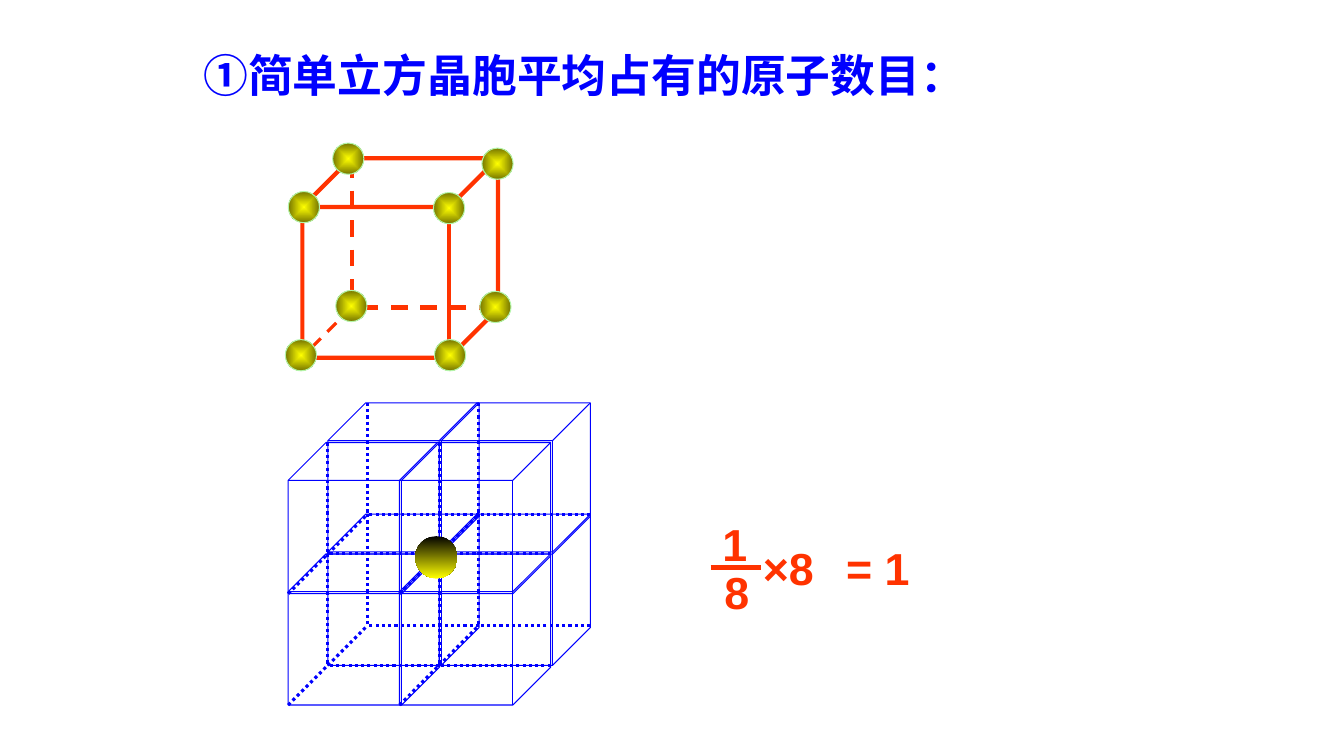
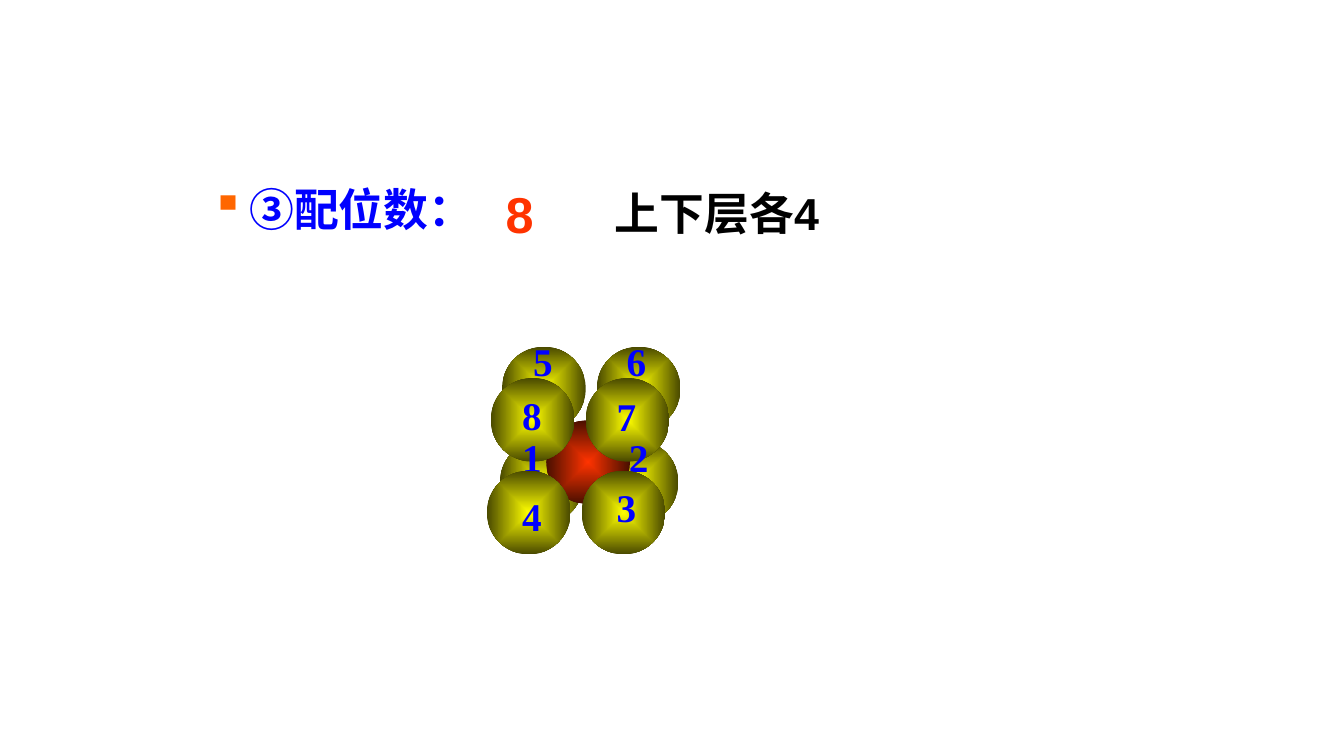
"""Builds two slides on the simple cubic cell: atoms per cell and coordination number."""
from itertools import product

from lxml import etree
from pptx import Presentation
from pptx.dml.color import RGBColor
from pptx.enum import dml, shapes, text
from pptx.oxml import ns
from pptx.util import Pt

BLUE = RGBColor(0x00, 0x00, 0xFF)
RED = RGBColor(0xFF, 0x33, 0x00)
ORANGE = RGBColor(0xFF, 0x66, 0x00)
YELLOW = RGBColor(0xFF, 0xFF, 0x00)
OLIVE = RGBColor(0x76, 0x76, 0x00)
DARK_OLIVE = RGBColor(0x49, 0x49, 0x00)
DARK_RED = RGBColor(0x49, 0x0F, 0x00)
PALE_GREEN = RGBColor(0xB4, 0xF5, 0xA9)
BLACK = RGBColor(0x00, 0x00, 0x00)

HANGING = 27
DASH = dml.MSO_LINE.DASH
DOT = dml.MSO_LINE.ROUND_DOT

COUNT_TITLE = ("①简单立方晶胞平均占有的原子数目：", 138.2, 30.2, 672.5, 62)
FORMULA = [
    ("8", 505.4, 399.6, 41.8, True),
    ("1", 504, 365.8, 41.8, True),
    ("×8", 537.8, 383, 72, False),
    ("= 1", 594, 383, 66.2, True),
]
FRACTION_BAR = (507.6, 405.4, 543.6, 405.4)

CELL = (216, 113, 139.7, 142.6)
HIDDEN_EDGES = [
    (251.3, 115.2, 251.3, 219.6, 3),
    (354.2, 219.6, 251.3, 219.6, 3),
    (251.3, 219.6, 213.8, 257, 2.25),
]
ATOM_SIZE = 22.3
ATOMS = [(237.6, 102.2), (309.6, 137.5), (203.8, 242.6), (342.7, 208.1),
         (239.8, 207.4), (310.3, 242.6), (344.2, 105.8), (205.9, 136.8)]

STACK_LEFT, STACK_TOP = 205.9, 316.1
CUBE_SIZE, CUBE_FACE, CUBE_DEPTH = 108, 79.5, 28.3
SHARED_ATOM = (296.6, 383, 30.2)

NUMBER_TITLE = ("③配位数：", 144, 126, 672.5, 57)
BALL_SIZE, BALL_GAP = 59.8, 67.7
CENTRE_BALL = (390.2, 300.2)
BACK_BOTTOM, BACK_TOP = (357.1, 314.6), (358.6, 247.7)
FRONT_TOP, FRONT_BOTTOM = (350.6, 270), (347.8, 336.2)
UPPER_LABELS = [("1", 365.8, 306), ("2", 442.1, 306), ("5", 373.7, 237.6),
                ("6", 440.6, 237.6), ("7", 433.4, 276.5)]
LOWER_LABELS = [("8", 365.8, 275.8), ("4", 365.8, 347.8), ("3", 433.4, 342)]


def add_text(s, words, x, y, w, h, size, color, font="Arial", centred=False):
    box = s.shapes.add_textbox(Pt(x), Pt(y), Pt(w), Pt(h))
    tf = box.text_frame
    tf.word_wrap = True
    p = tf.paragraphs[0]
    p.text = words
    if centred:
        p.alignment = text.PP_ALIGN.CENTER
    f = p.runs[0].font
    f.name, f.size, f.bold = font, Pt(size), True
    f.color.rgb = color
    return p


def add_heading(s, heading, bullet=None):
    p = add_text(s, *heading, 32, BLUE, "Calibri")
    pPr = p._p.get_or_add_pPr()
    pPr.set("marL", str(Pt(HANGING)))
    pPr.set("indent", str(-Pt(HANGING)))
    if bullet:
        color = etree.SubElement(pPr, ns.qn("a:buClr"))
        etree.SubElement(color, ns.qn("a:srgbClr"), val=str(ORANGE))
        etree.SubElement(pPr, ns.qn("a:buChar"), char=bullet)


def add_line(s, x1, y1, x2, y2, color, width, dash=None):
    c = s.shapes.add_connector(shapes.MSO_CONNECTOR.STRAIGHT, Pt(x1), Pt(y1), Pt(x2), Pt(y2))
    c.line.color.rgb = color
    c.line.width = Pt(width)
    if dash:
        c.line.dash_style = dash
    etree.SubElement(c._element.spPr, ns.qn("a:effectLst"))


def add_cube(s, x, y, w, h, color, width):
    sp = s.shapes.add_shape(shapes.MSO_SHAPE.CUBE, Pt(x), Pt(y), Pt(w), Pt(h))
    sp.adjustments[0] = 0.25
    sp.shadow.inherit = False
    sp.fill.background()
    sp.line.color.rgb = color
    sp.line.width = Pt(width)


def add_ball(s, x, y, size, start, end, outline=None, radial=True):
    sp = s.shapes.add_shape(shapes.MSO_SHAPE.OVAL, Pt(x), Pt(y), Pt(size), Pt(size))
    sp.shadow.inherit = False
    sp.fill.gradient()
    sp.fill.gradient_angle = 270
    for stop, color, position in zip(sp.fill.gradient_stops, (start, end), (0, 1)):
        stop.color.rgb = color
        stop.position = position
    if radial:
        grad = sp._element.spPr.find(ns.qn("a:gradFill"))
        shade = etree.Element(ns.qn("a:path"), path="shape")
        etree.SubElement(shade, ns.qn("a:fillToRect"), dict.fromkeys("ltrb", "50000"))
        grad.replace(grad.find(ns.qn("a:lin")), shade)
    if outline:
        sp.line.color.rgb = outline
        sp.line.width = Pt(0.75)
    else:
        sp.line.fill.background()


def add_stacked_cube(s, x, y):
    add_cube(s, x, y, CUBE_SIZE, CUBE_SIZE, BLUE, 0.75)
    corner = (x + CUBE_DEPTH, y + CUBE_FACE)
    for end in ((corner[0], y), (x + CUBE_SIZE, corner[1]), (x, y + CUBE_SIZE)):
        add_line(s, *end, *corner, BLUE, 2.25, DOT)


def add_ball_pair(s, x, y):
    for column in (1, 0):
        add_ball(s, x + column * BALL_GAP, y, BALL_SIZE, YELLOW, DARK_OLIVE)


def add_labels(s, labels):
    for number, x, y in labels:
        add_text(s, number, x, y, 30.2, 41, 28, BLUE, "Times New Roman")


def build_atom_count(s):
    add_heading(s, COUNT_TITLE)
    add_line(s, *FRACTION_BAR, RED, 3)
    for words, x, y, w, centred in FORMULA:
        add_text(s, words, x, y, w, 46, 32, RED, centred=centred)
    add_cube(s, *CELL, RED, 3)
    for *ends, width in HIDDEN_EDGES:
        add_line(s, *ends, RED, width, DASH)
    for x, y in ATOMS:
        add_ball(s, x, y, ATOM_SIZE, YELLOW, OLIVE, PALE_GREEN)
    for row, column, layer in product((0, 1), repeat=3):
        add_stacked_cube(s, STACK_LEFT + column * CUBE_FACE + layer * CUBE_DEPTH,
                         STACK_TOP + row * CUBE_FACE - layer * CUBE_DEPTH)
    add_ball(s, *SHARED_ATOM, BLACK, YELLOW, radial=False)


def build_coordination(s):
    add_ball_pair(s, *BACK_BOTTOM)
    add_ball(s, *CENTRE_BALL, BALL_SIZE, RED, DARK_RED)
    add_heading(s, NUMBER_TITLE, "▪")
    add_text(s, "8", 354.2, 127.4, 48.2, 51, 36, RED)
    add_ball_pair(s, *BACK_TOP)
    add_ball_pair(s, *FRONT_TOP)
    add_labels(s, UPPER_LABELS)
    add_ball_pair(s, *FRONT_BOTTOM)
    add_text(s, "上下层各4", 432, 128.9, 221.8, 46, 32, BLACK)
    add_labels(s, LOWER_LABELS)


def main():
    prs = Presentation()
    prs.slide_width, prs.slide_height = Pt(960), Pt(540)
    for build in (build_atom_count, build_coordination):
        build(prs.slides.add_slide(prs.slide_layouts[6]))
    prs.save("out.pptx")


if __name__ == "__main__":
    main()
